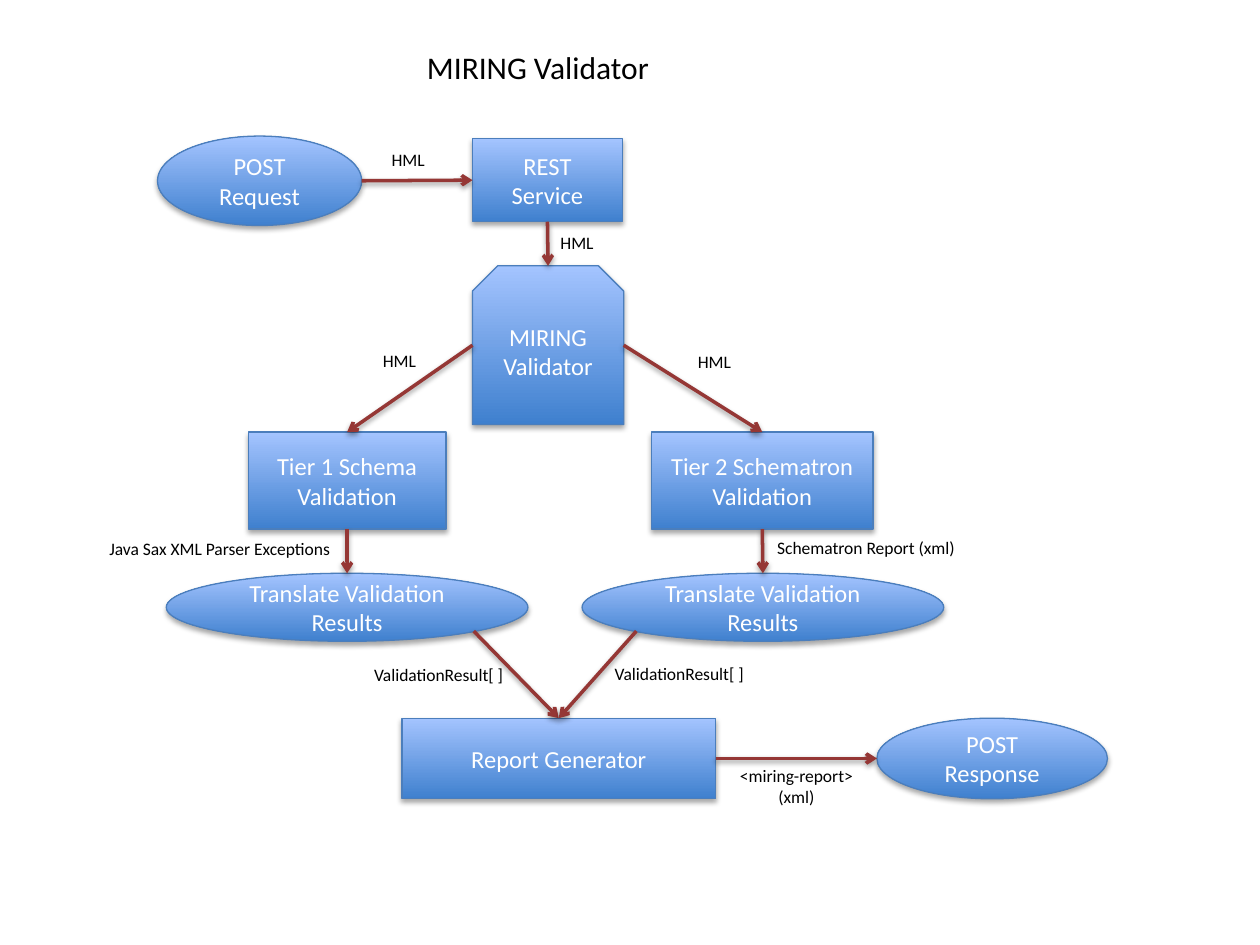
from lxml import etree
from pptx import Presentation
from pptx.dml.color import RGBColor
from pptx.enum.shapes import MSO_CONNECTOR, MSO_SHAPE
from pptx.enum.text import MSO_ANCHOR, PP_ALIGN
from pptx.oxml import parse_xml
from pptx.oxml.ns import nsdecls, qn
from pptx.util import Inches, Pt

WHITE = RGBColor(0xFF, 0xFF, 0xFF)
BLACK = RGBColor(0, 0, 0)
BLUE_DARK = RGBColor(0x3F, 0x80, 0xCE)
BLUE_LIGHT = RGBColor(0xA4, 0xC4, 0xFF)
BLUE_LINE = RGBColor(0x4B, 0x7E, 0xBC)
RED = RGBColor(0x95, 0x37, 0x35)

presentation = Presentation()
presentation.slide_width, presentation.slide_height = Inches(10), Inches(7.5)
slide = presentation.slides.add_slide(presentation.slide_layouts[6])


def write(shape, text, size=10, color=BLACK, align=PP_ALIGN.LEFT, anchor=MSO_ANCHOR.TOP):
    frame = shape.text_frame
    frame.word_wrap = True
    frame.vertical_anchor = anchor
    paragraph = frame.paragraphs[0]
    paragraph.alignment = align
    run = paragraph.add_run()
    run.text = text
    run.font.name, run.font.size = "Calibri", Pt(size)
    run.font.color.rgb = color


def add_shadow(shape, opacity, distance):
    shape._element.spPr.append(parse_xml(
        f'<a:effectLst {nsdecls("a")}><a:outerShdw blurRad="{Pt(3.1)}" dist="{Pt(distance)}" '
        f'dir="5400000" rotWithShape="0"><a:srgbClr val="000000">'
        f'<a:alpha val="{opacity * 1000}"/></a:srgbClr></a:outerShdw></a:effectLst>'))


# Steps of the flow: preset, text, left, top, width, height
RECT, OVAL, SNIP = MSO_SHAPE.RECTANGLE, MSO_SHAPE.OVAL, MSO_SHAPE.SNIP_2_SAME_RECTANGLE
steps = {
    "rest": (RECT, "REST Service", 3.75, 1.1, 1.19, 0.66),
    "request": (OVAL, "POST Request", 1.25, 1.08, 1.62, 0.71),
    "validator": (SNIP, "MIRING Validator", 3.75, 2.11, 1.2, 1.26),
    "tier1": (RECT, "Tier 1 Schema Validation", 1.97, 3.43, 1.57, 0.77),
    "tier2": (RECT, "Tier 2 Schematron Validation", 5.17, 3.43, 1.76, 0.77),
    "results1": (OVAL, "Translate Validation Results", 1.32, 4.55, 2.87, 0.54),
    "results2": (OVAL, "Translate Validation Results", 4.62, 4.55, 2.87, 0.54),
    "report": (RECT, "Report Generator", 3.19, 5.7, 2.49, 0.64),
    "response": (OVAL, "POST Response", 6.96, 5.7, 1.83, 0.64),
}
for preset, text, *box in steps.values():
    shape = slide.shapes.add_shape(preset, *map(Inches, box))
    shape.fill.gradient()
    shape.fill.gradient_angle = 90
    for stop, color in zip(shape.fill.gradient_stops, (BLUE_DARK, BLUE_LIGHT)):
        stop.color.rgb = color
    shape.line.color.rgb = BLUE_LINE
    shape.line.width = Pt(0.75)
    add_shadow(shape, 35, 1.8)
    write(shape, text, size=14, color=WHITE, align=PP_ALIGN.CENTER, anchor=MSO_ANCHOR.MIDDLE)

# Arrows join points given as fractions of each step's box
TOP, BOTTOM, LEFT, RIGHT = (0.5, 0), (0.5, 1), (0, 0.5), (1, 0.5)
LOWER_LEFT, LOWER_RIGHT = (0.15, 0.85), (0.85, 0.85)
arrows = [
    ("request", RIGHT, "rest", LEFT),
    ("rest", BOTTOM, "validator", TOP),
    ("validator", LEFT, "tier1", TOP),
    ("validator", RIGHT, "tier2", TOP),
    ("tier1", BOTTOM, "results1", TOP),
    ("tier2", BOTTOM, "results2", TOP),
    ("results1", LOWER_RIGHT, "report", TOP),
    ("results2", LOWER_LEFT, "report", TOP),
    ("report", RIGHT, "response", LEFT),
]
for source, source_side, target, target_side in arrows:
    ends = []
    for name, (across, down) in ((source, source_side), (target, target_side)):
        left, top, width, height = steps[name][2:]
        ends += [Inches(left + across * width), Inches(top + down * height)]
    connector = slide.shapes.add_connector(MSO_CONNECTOR.STRAIGHT, *ends)
    connector.line.color.rgb = RED
    connector.line.width = Pt(2)
    etree.SubElement(connector.line._get_or_add_ln(), qn("a:tailEnd"), type="arrow")
    add_shadow(connector, 38, 1.6)

# Title and arrow labels: text, left, top, width, height, format
labels = [
    ("MIRING Validator", 3.29, 0.33, 2.28, 0.4, {"size": 18}),
    ("HML", 3.01, 1.13, 0.5, 0.27, {}),
    ("HML", 4.35, 1.79, 0.5, 0.27, {}),
    ("HML", 2.94, 2.73, 0.5, 0.27, {}),
    ("HML", 5.44, 2.74, 0.5, 0.27, {}),
    ("ValidationResult[ ]", 4.78, 5.21, 1.28, 0.27, {}),
    ("ValidationResult[ ]", 2.87, 5.22, 1.28, 0.27, {}),
    ("<miring-report> (xml)", 5.68, 6.02, 1.28, 0.44, {"align": PP_ALIGN.CENTER}),
    ("Schematron Report (xml)", 6.07, 4.21, 1.89, 0.27, {}),
    ("Java Sax XML Parser Exceptions", 0.77, 4.22, 2.16, 0.27, {}),
]
for text, *box, text_format in labels:
    write(slide.shapes.add_textbox(*map(Inches, box)), text, **text_format)

presentation.save("out.pptx")
